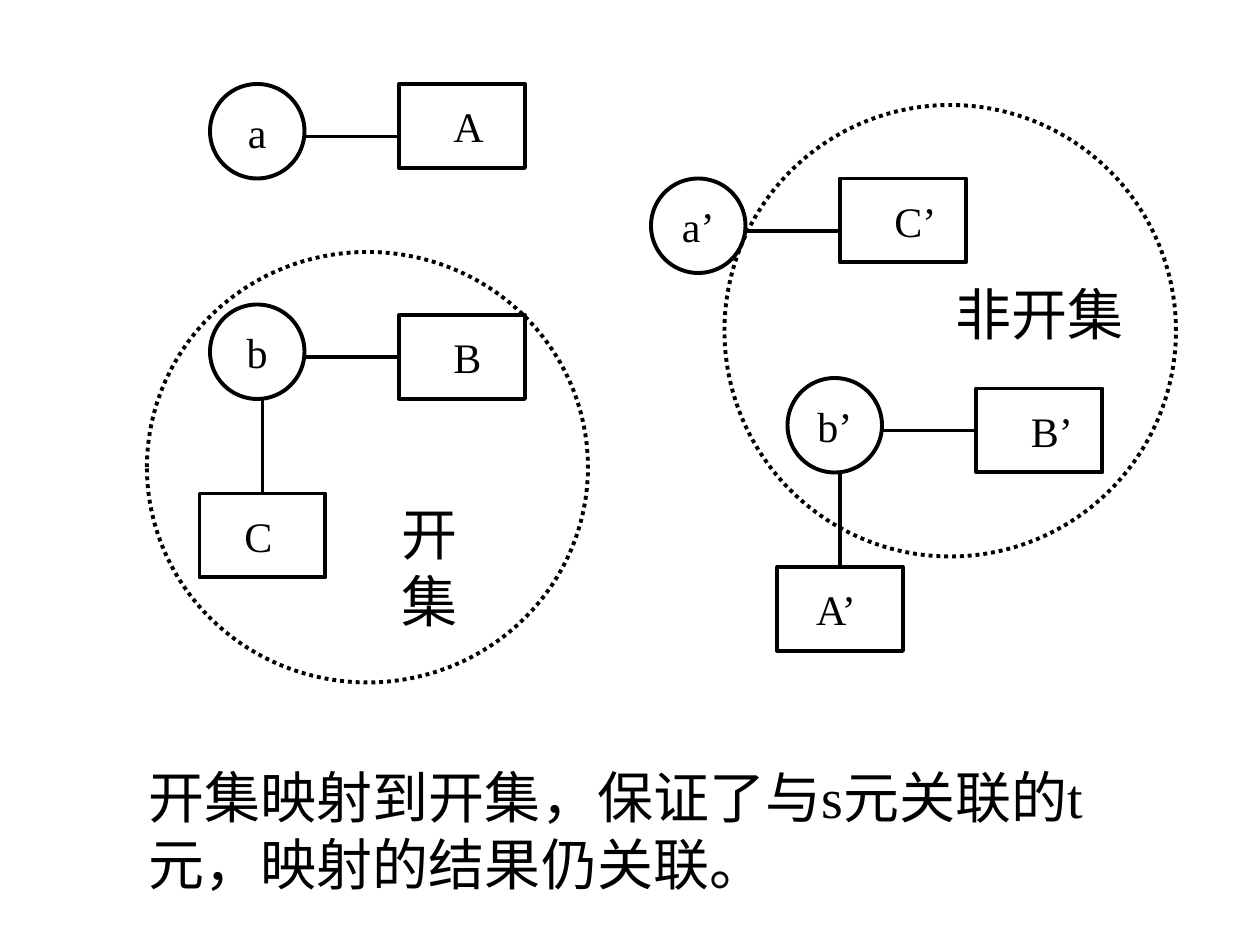
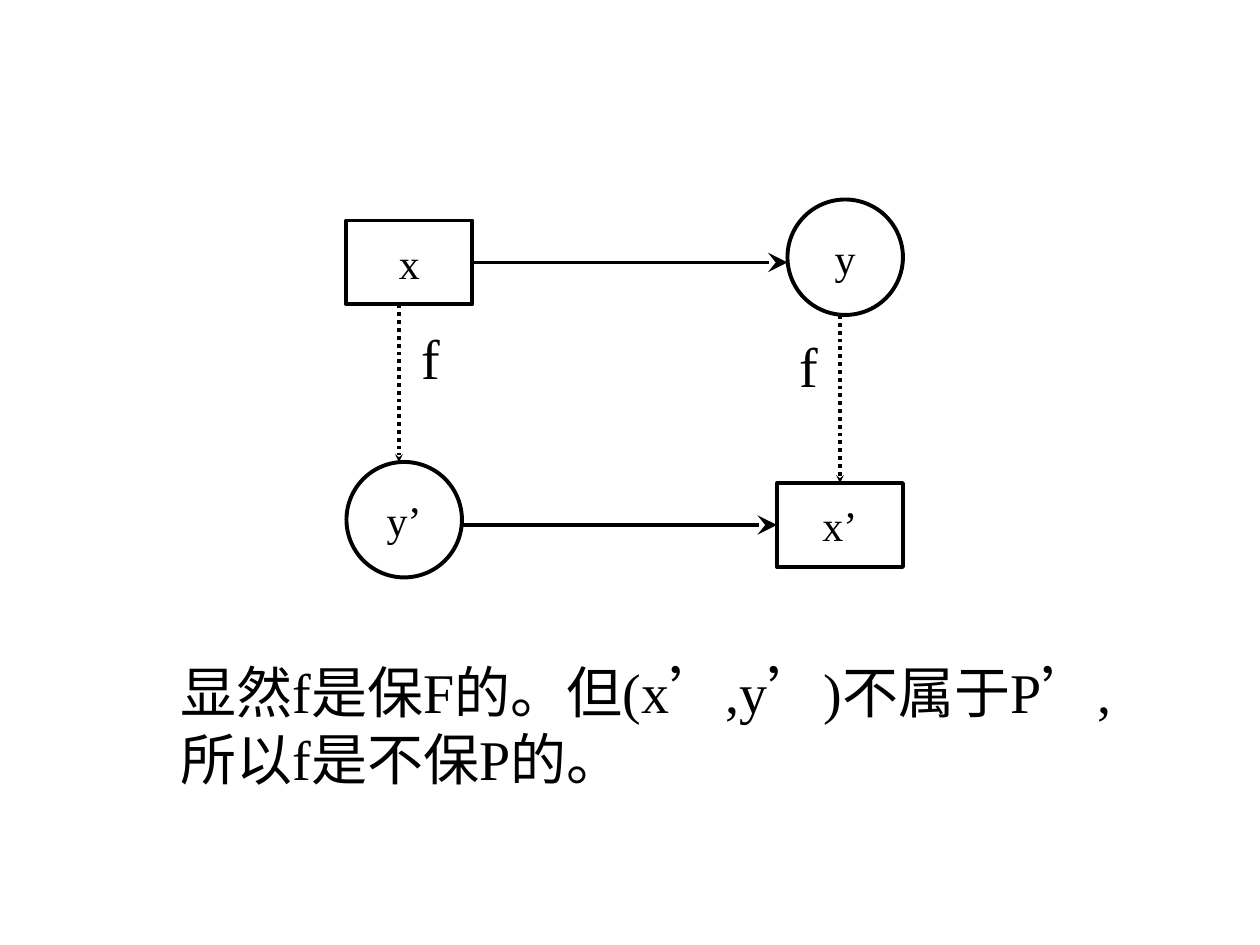
from lxml import etree
from pptx import Presentation
from pptx.dml.color import RGBColor
from pptx.enum import dml, shapes, text
from pptx.oxml.ns import qn
from pptx.util import Pt

BLACK = RGBColor(0, 0, 0)
WHITE = RGBColor(255, 255, 255)
FONT = "Times New Roman"
LABEL_SIZE, BODY_SIZE = 24, 32
BOX_WIDTH, BOX_HEIGHT = 72, 48
SMALL_NODE, LARGE_NODE = 54, 66
TOP, LEFT, BOTTOM, RIGHT = range(4)
LEFT_ALIGN, CENTER = text.PP_ALIGN.LEFT, text.PP_ALIGN.CENTER


def style_line(line, dotted=False):
    line.color.rgb = BLACK
    line.width = Pt(2.25)
    if dotted:
        line.dash_style = dml.MSO_LINE.ROUND_DOT


def write(shape, words, size, align, wrap):
    frame = shape.text_frame
    frame.word_wrap = wrap
    paragraph = frame.paragraphs[0]
    paragraph.text = words
    paragraph.alignment = align
    paragraph.font.name = FONT
    paragraph.font.size = Pt(size)
    paragraph.font.color.rgb = BLACK
    return paragraph


def add_outline(slide, kind, left, top, width, height, words="", dotted=False):
    """Add a black outline: white inside when solid, see-through when dotted."""
    shape = slide.shapes.add_shape(kind, Pt(left), Pt(top), Pt(width), Pt(height))
    shape.shadow.inherit = False
    if dotted:
        shape.fill.background()
    else:
        shape.fill.solid()
        shape.fill.fore_color.rgb = WHITE
    style_line(shape.line, dotted)
    if words:
        write(shape, words, LABEL_SIZE, CENTER, wrap=False)
        shape.text_frame.vertical_anchor = text.MSO_ANCHOR.MIDDLE
    return shape


def add_node(slide, left, top, diameter, words):
    return add_outline(slide, shapes.MSO_SHAPE.OVAL, left, top, diameter, diameter, words)


def add_box(slide, left, top, words=""):
    return add_outline(slide, shapes.MSO_SHAPE.RECTANGLE, left, top,
                       BOX_WIDTH, BOX_HEIGHT, words)


def add_set(slide, left, top, width, height):
    add_outline(slide, shapes.MSO_SHAPE.OVAL, left, top, width, height, dotted=True)


def add_text(slide, left, top, width, height, words, size=BODY_SIZE,
             align=CENTER, wrap=True):
    box = slide.shapes.add_textbox(Pt(left), Pt(top), Pt(width), Pt(height))
    return write(box, words, size, align, wrap)


def add_labelled_box(slide, left, top, words, indent, width, align=LEFT_ALIGN, wrap=False):
    """Add a box whose label stands off its centre, indent points from its left side."""
    box = add_box(slide, left, top)
    add_text(slide, left + indent, top + 6, width, 36, words, LABEL_SIZE, align, wrap)
    return box


def add_line(slide, x1, y1, x2, y2, begin=None, end=None, dotted=False, head=None):
    """Add a line; begin and end are (shape, side) joins, head an arrowhead size."""
    connector = slide.shapes.add_connector(
        shapes.MSO_CONNECTOR.STRAIGHT, Pt(x1), Pt(y1), Pt(x2), Pt(y2))
    if begin:
        connector.begin_connect(*begin)
    if end:
        connector.end_connect(*end)
    style_line(connector.line, dotted)
    if head:
        etree.SubElement(connector.line._get_or_add_ln(), qn("a:tailEnd"),
                         type="stealth", w=head, len=head)
    etree.SubElement(connector._element.spPr, qn("a:effectLst"))


def build_open_sets(slide):
    for left, top, name in ((120, 48, "a"), (120, 174, "b"),
                            (372, 102, "a’"), (450, 216, "b’")):
        add_node(slide, left, top, SMALL_NODE, name)

    add_labelled_box(slide, 228, 48, "A", 24, 31.7)
    box_b = add_labelled_box(slide, 228, 180, "B", 24, 36, wrap=True)
    box_c = add_labelled_box(slide, 114, 282, "C", 18.5, 30.2, CENTER)
    add_labelled_box(slide, 480, 102, "C’", 24, 38.2)
    box_b2 = add_labelled_box(slide, 558, 222, "B’", 24, 44.6, wrap=True)
    box_a2 = add_labelled_box(slide, 444, 324, "A’", 13.9, 39.6, CENTER)

    add_line(slide, 174, 78, 228, 78)
    add_line(slide, 174, 204, 228, 204, end=(box_b, LEFT))
    add_line(slide, 150, 228, 150, 282, end=(box_c, TOP))
    add_line(slide, 426, 132, 480, 132)
    add_line(slide, 504, 246, 558, 246, end=(box_b2, LEFT))
    add_line(slide, 480, 270, 480, 324, end=(box_a2, TOP))

    add_set(slide, 84, 144, 252, 246)
    add_set(slide, 414, 60, 258, 258)
    add_text(slide, 209, 282, 73.4, 84, "开集")
    add_text(slide, 534, 156, 120, 46, "非开集")
    conclusion = add_text(slide, 78, 432, 570, 84,
                          "开集映射到开集，保证了与s元关联的t元，映射的结果仍关联。",
                          align=LEFT_ALIGN)
    conclusion.space_before = Pt(20)


def build_mapping(slide):
    box_x = add_box(slide, 198, 126, "x")
    add_node(slide, 450, 114, LARGE_NODE, "y")
    box_x2 = add_box(slide, 444, 276, "x’")
    add_node(slide, 198, 264, LARGE_NODE, "y’")

    add_line(slide, 270, 150, 450, 150, begin=(box_x, RIGHT), head="lg")
    add_line(slide, 264, 300, 444, 300, end=(box_x2, LEFT), head="lg")
    add_line(slide, 228, 174, 228, 264, dotted=True, head="sm")
    add_line(slide, 480, 180, 480, 276, end=(box_x2, TOP), dotted=True, head="sm")

    for left, top in ((233.5, 181.5), (449.5, 186)):
        add_text(slide, left, top, 25, 46, "f", wrap=False)
    add_text(slide, 96, 372, 576, 84,
             "显然f是保F的。但(x’,y’)不属于P’,所以f是不保P的。", align=LEFT_ALIGN)


def main():
    presentation = Presentation()
    presentation.slide_width, presentation.slide_height = Pt(720), Pt(540)
    blank = presentation.slide_layouts[6]
    for build in (build_open_sets, build_mapping):
        build(presentation.slides.add_slide(blank))
    presentation.save("out.pptx")


if __name__ == "__main__":
    main()
